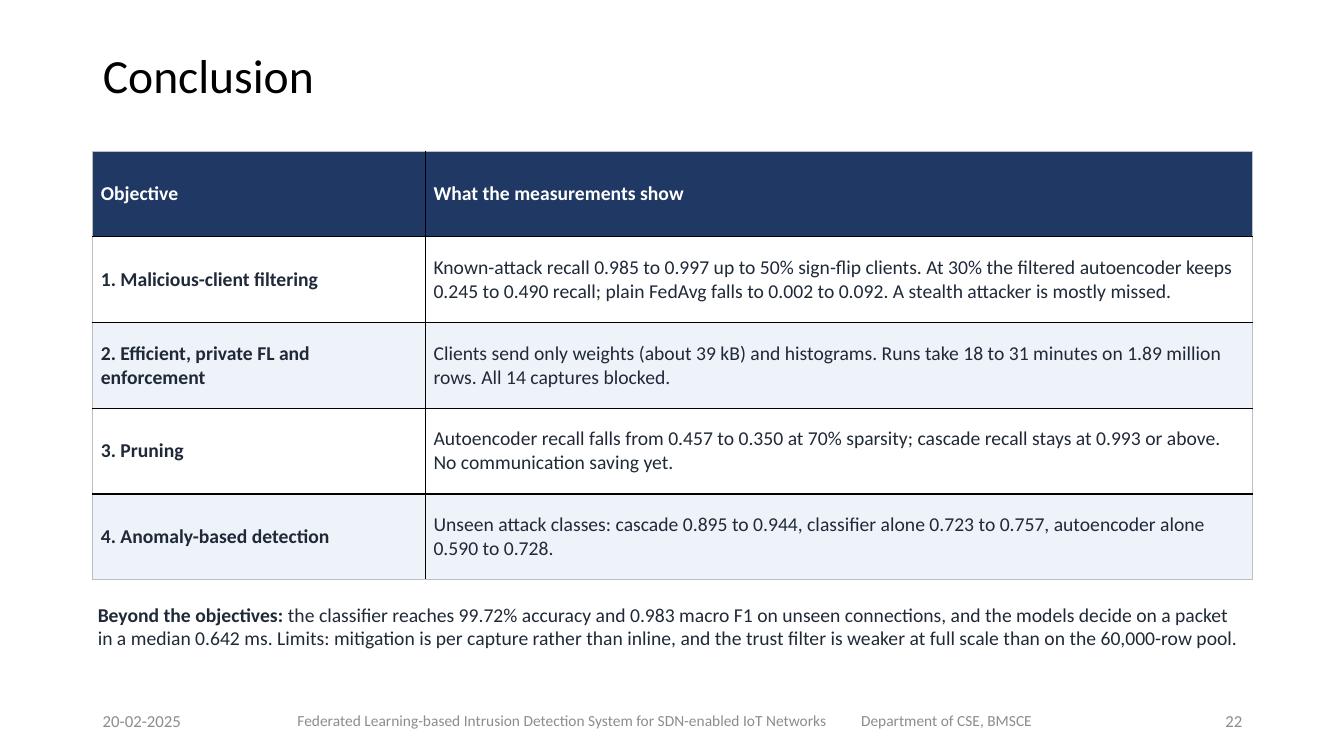
from lxml import etree
from pptx import Presentation
from pptx.dml.color import RGBColor
from pptx.enum.text import MSO_ANCHOR, MSO_AUTO_SIZE, PP_ALIGN
from pptx.oxml.ns import qn
from pptx.util import Inches, Pt

LEFT, RIGHT = PP_ALIGN.LEFT, PP_ALIGN.RIGHT
MIDDLE, TOP = MSO_ANCHOR.MIDDLE, MSO_ANCHOR.TOP
NO_AUTOFIT = MSO_AUTO_SIZE.NONE

FONT = "Calibri"
BLACK = RGBColor(0x00, 0x00, 0x00)
WHITE = RGBColor(0xFF, 0xFF, 0xFF)
NAVY = RGBColor(0x1F, 0x38, 0x64)
INK = RGBColor(0x1F, 0x29, 0x37)
PALE_BLUE = RGBColor(0xEE, 0xF3, 0xFA)
FOOTER_GREY = RGBColor(0x8C, 0x8C, 0x8C)
EDGE_GREY = RGBColor(0xBF, 0xBF, 0xBF)

MARGIN, CONTENT_WIDTH = 0.92, 11.5
COLUMN_WIDTHS = (3.3, 8.2)
ROW_HEIGHT = 0.85

ROWS = [
    ("Objective", "What the measurements show"),
    ("1. Malicious-client filtering",
     "Known-attack recall 0.985 to 0.997 up to 50% sign-flip clients. At 30% the filtered "
     "autoencoder keeps 0.245 to 0.490 recall; plain FedAvg falls to 0.002 to 0.092. "
     "A stealth attacker is mostly missed."),
    ("2. Efficient, private FL and enforcement",
     "Clients send only weights (about 39 kB) and histograms. Runs take 18 to 31 minutes "
     "on 1.89 million rows. All 14 captures blocked."),
    ("3. Pruning",
     "Autoencoder recall falls from 0.457 to 0.350 at 70% sparsity; cascade recall stays "
     "at 0.993 or above. No communication saving yet."),
    ("4. Anomaly-based detection",
     "Unseen attack classes: cascade 0.895 to 0.944, classifier alone 0.723 to 0.757, "
     "autoencoder alone 0.590 to 0.728."),
]
BEYOND_LABEL = "Beyond the objectives: "
BEYOND_TEXT = (
    "the classifier reaches 99.72% accuracy and 0.983 macro F1 on unseen connections, and the "
    "models decide on a packet in a median 0.642 ms. Limits: mitigation is per capture rather "
    "than inline, and the trust filter is weaker at full scale than on the 60,000-row pool.")
DATE = "20-02-2025"
PROJECT = "Federated Learning-based Intrusion Detection System for SDN-enabled IoT Networks"
DEPARTMENT = "Department of CSE, BMSCE"
PAGE_NUMBER = "22"


def add_text(paragraph, text, size=14, color=INK, bold=False, align=LEFT):
    """Append a formatted run to the paragraph."""
    paragraph.alignment = align
    run = paragraph.add_run()
    run.text = text
    run.font.name = FONT
    run.font.size = Pt(size)
    run.font.bold = bold
    run.font.color.rgb = color


def add_text_box(slide, left, top, width, height, insets=(0.1, 0.05), anchor=MIDDLE):
    """Add a wrapping text box and return its text frame."""
    box = slide.shapes.add_textbox(Inches(left), Inches(top), Inches(width), Inches(height))
    frame = box.text_frame
    frame.word_wrap = True
    frame.vertical_anchor = anchor
    frame.margin_left = frame.margin_right = Inches(insets[0])
    frame.margin_top = frame.margin_bottom = Inches(insets[1])
    return frame


def add_tab_stop(paragraph, position):
    tab_list = etree.SubElement(paragraph._p.get_or_add_pPr(), qn("a:tabLst"))
    etree.SubElement(tab_list, qn("a:tab"), pos=str(Inches(position)), algn="l")


def add_border(cell, side, color, width):
    line = etree.SubElement(cell._tc.get_or_add_tcPr(), qn(f"a:ln{side}"), w=str(Pt(width)))
    fill = etree.SubElement(line, qn("a:solidFill"))
    etree.SubElement(fill, qn("a:srgbClr"), val=str(color))


def fill_title(slide, left, top, width, height):
    title = slide.shapes.title
    title.left, title.top = Inches(left), Inches(top)
    title.width, title.height = Inches(width), Inches(height)
    frame = title.text_frame
    frame.auto_size = NO_AUTOFIT
    frame.vertical_anchor = MIDDLE
    paragraph = frame.paragraphs[0]
    paragraph.line_spacing = 0.9
    add_text(paragraph, "Conclusion", size=34, color=BLACK)


def add_findings_table(slide, left, top):
    row_count, column_count = len(ROWS), len(COLUMN_WIDTHS)
    table = slide.shapes.add_table(
        row_count, column_count, Inches(left), Inches(top),
        Inches(sum(COLUMN_WIDTHS)), Inches(ROW_HEIGHT * row_count)).table
    for column, width in zip(table.columns, COLUMN_WIDTHS):
        column.width = Inches(width)

    for row, texts in enumerate(ROWS):
        table.rows[row].height = Inches(ROW_HEIGHT)
        header = row == 0
        background = NAVY if header else WHITE if row % 2 else PALE_BLUE
        for column, text in enumerate(texts):
            cell = table.cell(row, column)
            cell.vertical_anchor = MIDDLE
            cell.margin_left = cell.margin_right = Inches(0.08)
            cell.margin_top = cell.margin_bottom = Inches(0.03)
            # Black rules inside, thin grey rules round the outside
            outer_sides = {"L": column == 0, "R": column == column_count - 1,
                           "T": row == 0, "B": row == row_count - 1}
            for side, outer in outer_sides.items():
                add_border(cell, side, EDGE_GREY if outer else BLACK, 0.75 if outer else 1)
            cell.fill.solid()
            cell.fill.fore_color.rgb = background
            add_text(cell.text_frame.paragraphs[0], text,
                     color=WHITE if header else INK, bold=header or column == 0)


def add_beyond_note(slide, left, top, width, height):
    frame = add_text_box(slide, left, top, width, height, insets=(0.05, 0.03), anchor=TOP)
    paragraph = frame.paragraphs[0]
    paragraph.space_after = Pt(6)
    add_text(paragraph, BEYOND_LABEL, bold=True)
    add_text(paragraph, BEYOND_TEXT)


def add_footer(slide, left, top, width, height):
    side_width = 3
    date = add_text_box(slide, left, top, side_width, height)
    add_text(date.paragraphs[0], DATE, size=12, color=FOOTER_GREY)

    # Project and department share a line, set apart by a tab stop
    project = add_text_box(slide, left + 1.38, top, 8.6, height)
    project.margin_left = Inches(0.65)
    paragraph = project.paragraphs[0]
    add_tab_stop(paragraph, 5.59)
    add_text(paragraph, f"{PROJECT}\t{DEPARTMENT}", size=11, color=FOOTER_GREY)

    number = add_text_box(slide, left + width - side_width, top, side_width, height)
    add_text(number.paragraphs[0], PAGE_NUMBER, size=12, color=FOOTER_GREY, align=RIGHT)


def build_conclusion_slide(presentation):
    slide = presentation.slides.add_slide(presentation.slide_layouts[5])
    fill_title(slide, MARGIN, 0.3, 10.9, 0.95)
    add_findings_table(slide, MARGIN, 1.5)
    add_beyond_note(slide, MARGIN, 5.95, CONTENT_WIDTH, 0.95)
    add_footer(slide, MARGIN, 6.95, CONTENT_WIDTH, 0.4)


def main():
    presentation = Presentation()
    presentation.slide_width = Inches(13.33)
    presentation.slide_height = Inches(7.5)
    build_conclusion_slide(presentation)
    presentation.save("out.pptx")


if __name__ == "__main__":
    main()
